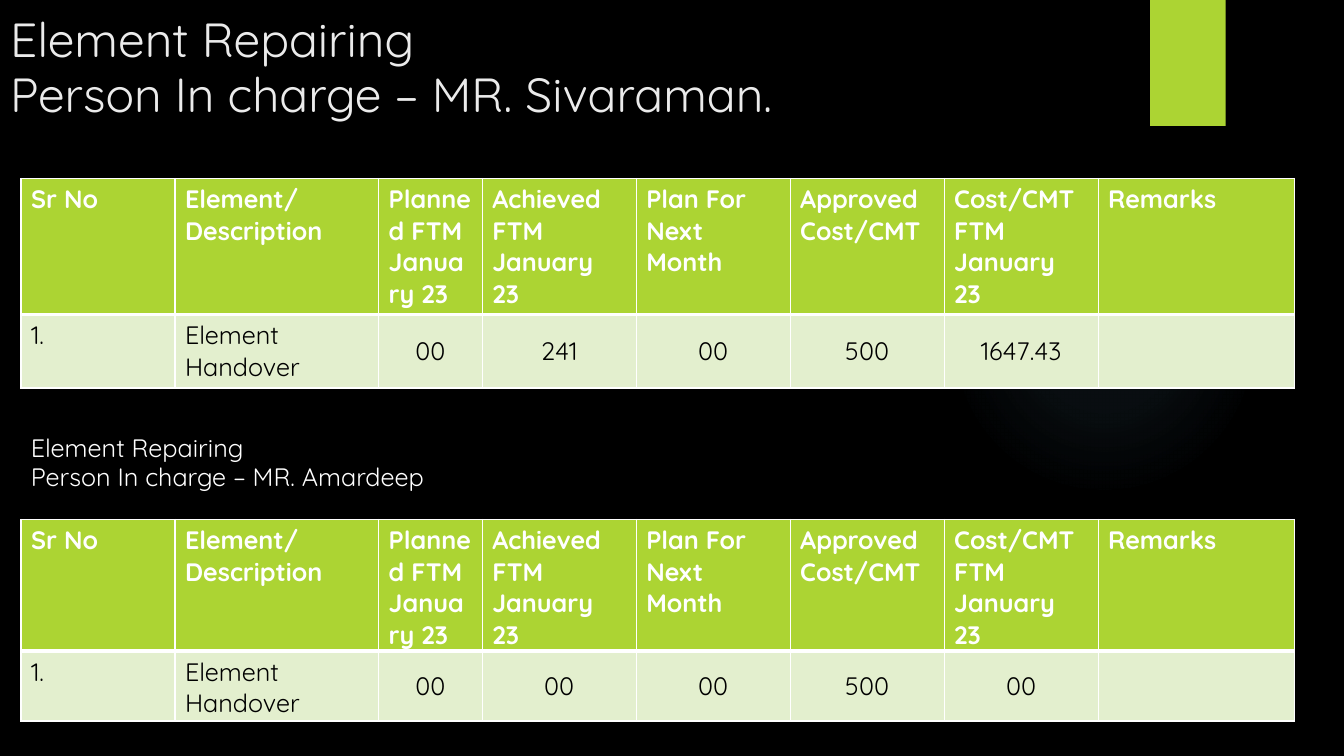
from dataclasses import dataclass

from lxml.etree import SubElement
from pptx import Presentation
from pptx.dml.color import RGBColor
from pptx.enum.shapes import MSO_SHAPE
from pptx.enum.text import MSO_ANCHOR, MSO_AUTO_SIZE, PP_ALIGN
from pptx.oxml import parse_xml
from pptx.oxml.ns import nsdecls, qn
from pptx.util import Pt


@dataclass(frozen=True)
class Theme:
    font: str = "Quicksand"
    back: str = "000000"
    lime: str = "ACD433"
    pale: str = "E3EFCE"
    white: str = "FFFFFF"
    soft: str = "EBEBEB"
    glow: str = "7AC4F0"
    head: float = 34.2
    body: float = 18


@dataclass(frozen=True)
class Report:
    top: float
    rows: tuple[float, float]
    foot: float
    values: tuple[str, ...]


THEME = Theme()
LEFT = 15
WIDTHS = (110, 145.5, 74, 110, 110, 110, 110, 140.5)
HEADS = (
    "Sr No", "Element/Description", "Planned FTM January 23",
    "Achieved FTM January 23", "Plan For Next Month",
    "Approved Cost/CMT", "Cost/CMT FTM January 23", "Remarks",
)
REPORTS = (
    Report(127.5, (97.2, 52.5), 3.6,
           ("1.", "Element Handover", "00", "241", "00", "500", "1647.43", "")),
    Report(371, (94, 50), 0,
           ("1.", "Element Handover", "00", "00", "00", "500", "00", "")),
)


def rgb(color: str) -> RGBColor:
    return RGBColor.from_string(color)


def write(frame, text: str, *, size: float = THEME.body, color: str = THEME.white,
          bold: bool = False, align=PP_ALIGN.LEFT, space: float = 1) -> None:
    frame.word_wrap = True
    para = frame.paragraphs[0]
    para.text = text
    para.alignment = align
    para.line_spacing = space
    for font in (para.font, *(run.font for run in para.runs)):
        font.name = THEME.font
        font.size = Pt(size)
        font.bold = bold
        font.color.rgb = rgb(color)


def border(cell, top: float, base: float) -> None:
    props = cell._tc.get_or_add_tcPr()
    for side, width in (("L", 1), ("R", 1), ("T", top), ("B", base)):
        line = SubElement(props, qn(f"a:ln{side}"), w=str(Pt(width)))
        fill = SubElement(line, qn("a:solidFill"))
        SubElement(fill, qn("a:srgbClr"), val=THEME.white)


def add_report(slide, report: Report) -> None:
    table = slide.shapes.add_table(
        2, len(WIDTHS), Pt(LEFT), Pt(report.top), Pt(sum(WIDTHS)), Pt(sum(report.rows))
    ).table
    for col, width in zip(table.columns, WIDTHS):
        col.width = Pt(width)
    for row, height in zip(table.rows, report.rows):
        row.height = Pt(height)
    for col, (head, value) in enumerate(zip(HEADS, report.values)):
        top, low = table.cell(0, col), table.cell(1, col)
        mid = col > 1
        border(top, 1, 3)
        border(low, 3, 1)
        for cell, fill in ((top, THEME.lime), (low, THEME.pale)):
            cell.fill.solid()
            cell.fill.fore_color.rgb = rgb(fill)
            cell.margin_bottom = Pt(report.foot)
        write(top.text_frame, head, bold=True)
        write(low.text_frame, value, color=THEME.back,
              align=PP_ALIGN.CENTER if mid else PP_ALIGN.LEFT)
        if mid:
            low.vertical_anchor = MSO_ANCHOR.MIDDLE
            low.margin_top = low.margin_bottom = Pt(1)


def add_shape(slide, kind, left: float, top: float, width: float, height: float):
    shape = slide.shapes.add_shape(kind, Pt(left), Pt(top), Pt(width), Pt(height))
    shape.shadow.inherit = False
    shape.line.fill.background()
    return shape


def add_glow(slide) -> None:
    glow = add_shape(slide, MSO_SHAPE.OVAL, 677.5, 132, 222, 222)
    stops = "".join(
        f'<a:gs pos="{place * 1000}"><a:srgbClr val="{THEME.glow}">'
        f'<a:alpha val="{alpha * 1000}"/></a:srgbClr></a:gs>'
        for place, alpha in ((0, 7), (36, 6), (69, 0), (100, 0))
    )
    fill = parse_xml(
        f'<a:gradFill {nsdecls("a")}><a:gsLst>{stops}</a:gsLst><a:path path="circle">'
        '<a:fillToRect l="50000" t="50000" r="50000" b="50000"/></a:path></a:gradFill>'
    )
    glow._element.spPr.find(qn("a:prstGeom")).addnext(fill)


def add_title(slide) -> None:
    title = slide.shapes.title
    title.left, title.top, title.width, title.height = Pt(0), Pt(0), Pt(695), Pt(92)
    frame = title.text_frame
    frame.auto_size = MSO_AUTO_SIZE.NONE
    frame.vertical_anchor = MSO_ANCHOR.BOTTOM
    write(frame, "Element Repairing\vPerson In charge – MR. Sivaraman.",
          size=THEME.head, color=THEME.soft, space=0.96)


def main() -> None:
    deck = Presentation()
    deck.slide_width, deck.slide_height = Pt(960), Pt(540)
    slide = deck.slides.add_slide(deck.slide_layouts[5])
    slide.background.fill.solid()
    slide.background.fill.fore_color.rgb = rgb(THEME.back)
    add_glow(slide)
    tab = add_shape(slide, MSO_SHAPE.RECTANGLE, 821.5, 0, 54, 90)
    tab.fill.solid()
    tab.fill.fore_color.rgb = rgb(THEME.lime)
    add_title(slide)
    note = slide.shapes.add_textbox(Pt(LEFT), Pt(306.5), Pt(487), Pt(51))
    write(note.text_frame, "Element Repairing\vPerson In charge – MR. Amardeep", space=0.96)
    for report in REPORTS:
        add_report(slide, report)
    deck.save("out.pptx")


if __name__ == "__main__":
    main()
